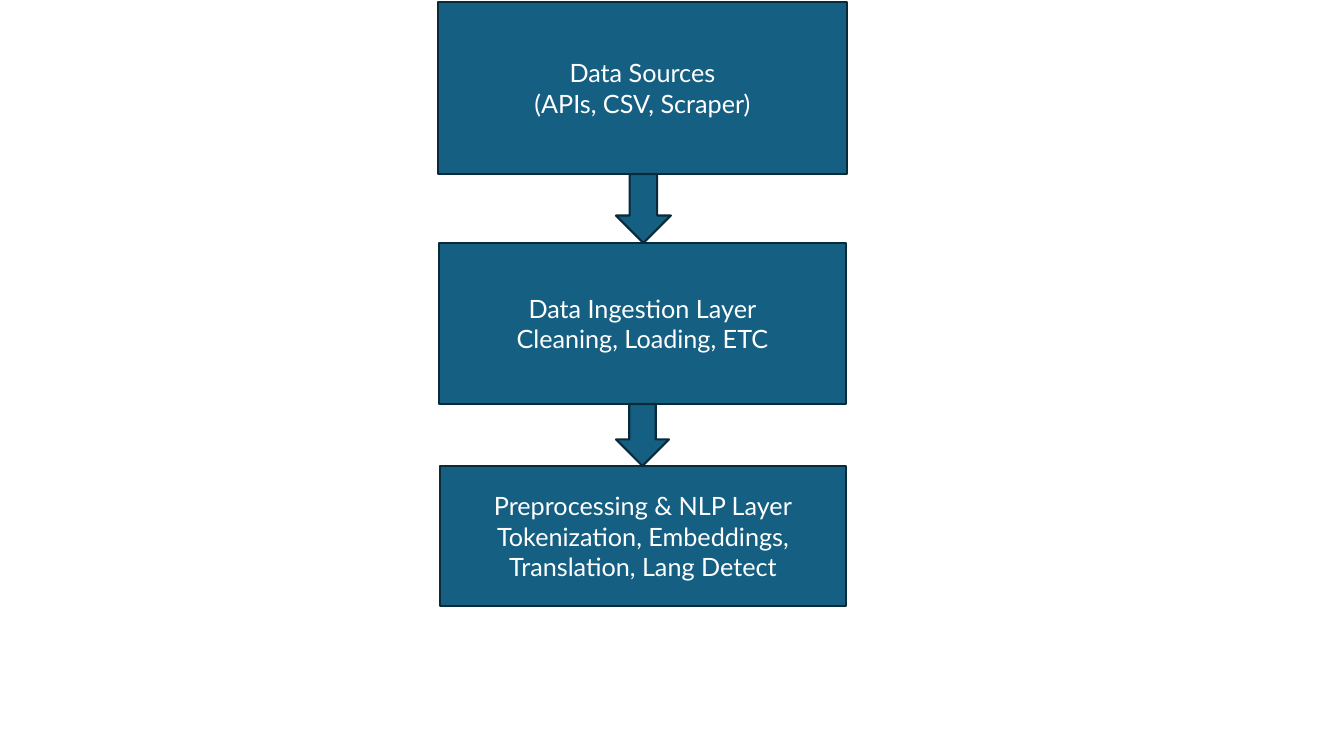
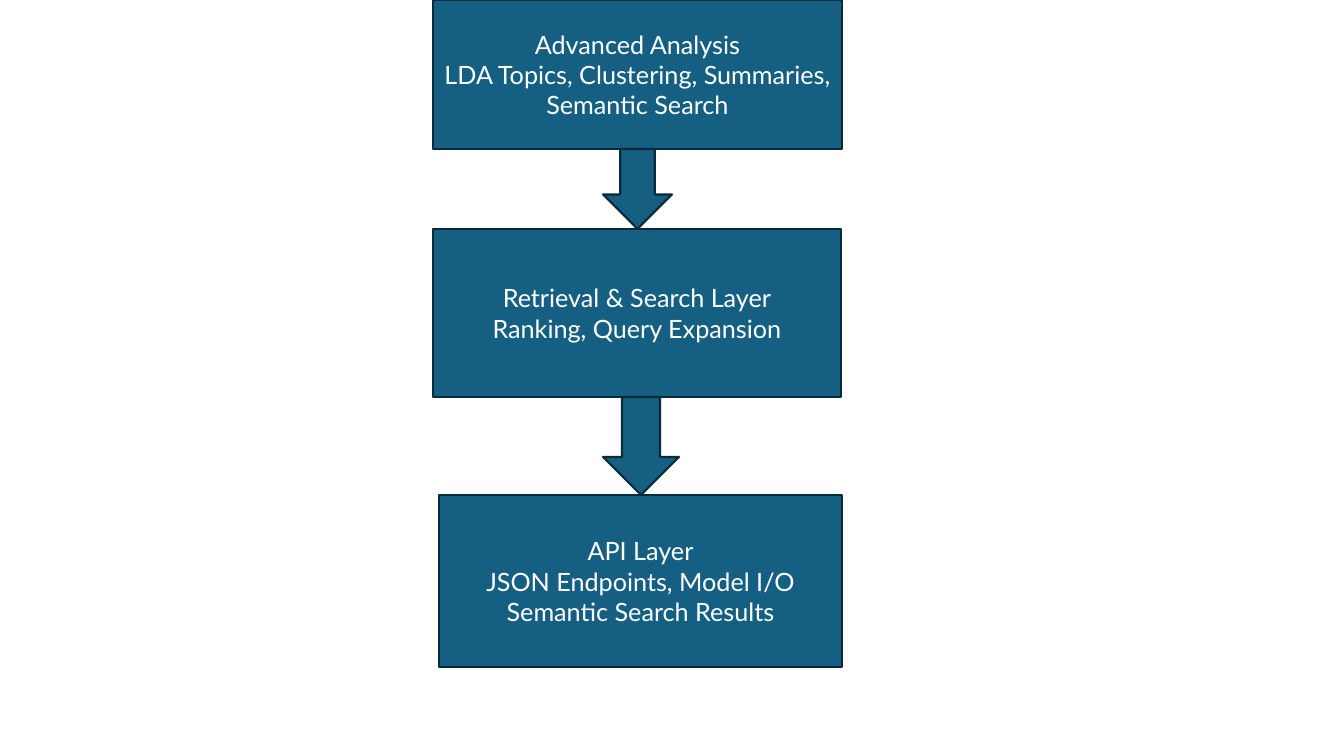
from dataclasses import dataclass
from itertools import pairwise

from pptx import Presentation
from pptx import util as u
from pptx.dml.color import RGBColor
from pptx.enum import shapes, text

EMU_PER_INCH = 914400
PX_PER_INCH = 100.8
SLIDE_SIZE = (1344, 756)


@dataclass(frozen=True)
class Theme:
    fill: RGBColor = RGBColor.from_string("156082")
    outline: RGBColor = RGBColor.from_string("092A39")
    label: RGBColor = RGBColor.from_string("FFFFFF")
    font: str = "Lato"
    label_size: int = 18
    outline_width: float = 1.5


@dataclass(frozen=True)
class Layer:
    left: int
    top: int
    width: int
    height: int
    lines: tuple

    @property
    def bottom(self):
        return self.top + self.height


THEME = Theme()
LABEL_FRAME = {"word_wrap": True, "vertical_anchor": text.MSO_ANCHOR.MIDDLE}
LABEL_FONT = {"name": THEME.font, "size": u.Pt(THEME.label_size)}

PIPELINES = [
    {
        "origin": (438, 2),
        "layers": [
            Layer(0, 0, 409, 172, ("Data Sources", "(APIs, CSV, Scraper)")),
            Layer(1, 241, 407, 161, ("Data Ingestion Layer", "Cleaning, Loading, ETC")),
            Layer(2, 464, 406, 140, (
                "Preprocessing & NLP Layer",
                "Tokenization, Embeddings, Translation, Lang Detect",
            )),
        ],
        "arrow_left": 178,
        "arrow_widths": (55, 53),
    },
    {
        "origin": (433, 0),
        "layers": [
            Layer(0, 0, 409, 149, (
                "Advanced Analysis",
                "LDA Topics, Clustering, Summaries, Semantic Search",
            )),
            Layer(0, 229, 408, 168, (
                "Retrieval & Search Layer",
                "Ranking, Query Expansion",
            )),
            Layer(6, 495, 403, 172, (
                "API Layer",
                "JSON Endpoints, Model I/O",
                "Semantic Search Results",
            )),
        ],
        "arrow_left": 170,
        "arrow_widths": (69, 76),
    },
]


def px(length):
    return u.Emu(round(length * EMU_PER_INCH / PX_PER_INCH))


def apply_format(target, values):
    for attribute, value in values.items():
        setattr(target, attribute, value)


def draw_block(slide, preset, box):
    block = slide.shapes.add_shape(preset, *map(px, box))
    block.shadow.inherit = False
    block.fill.solid()
    block.fill.fore_color.rgb = THEME.fill
    block.line.color.rgb = THEME.outline
    block.line.width = u.Pt(THEME.outline_width)
    return block


def write_label(block, lines):
    label = block.text_frame
    apply_format(label, LABEL_FRAME)
    label.text = "\n".join(lines)
    for line in label.paragraphs:
        line.alignment = text.PP_ALIGN.CENTER
        apply_format(line.runs[0].font, LABEL_FONT)
        line.runs[0].font.color.rgb = THEME.label


def draw_pipeline(slide, origin, layers, arrow_left, arrow_widths):
    x, y = origin
    for layer in layers:
        box = (x + layer.left, y + layer.top, layer.width, layer.height)
        write_label(draw_block(slide, shapes.MSO_SHAPE.RECTANGLE, box), layer.lines)
    for (upper, lower), width in zip(pairwise(layers), arrow_widths):
        gap = (x + arrow_left, y + upper.bottom, width, lower.top - upper.bottom)
        draw_block(slide, shapes.MSO_SHAPE.DOWN_ARROW, gap)


def main():
    deck = Presentation()
    deck.slide_width, deck.slide_height = map(px, SLIDE_SIZE)
    blank = deck.slide_layouts[6]
    for pipeline in PIPELINES:
        draw_pipeline(deck.slides.add_slide(blank), **pipeline)
    deck.save("out.pptx")


if __name__ == "__main__":
    main()
